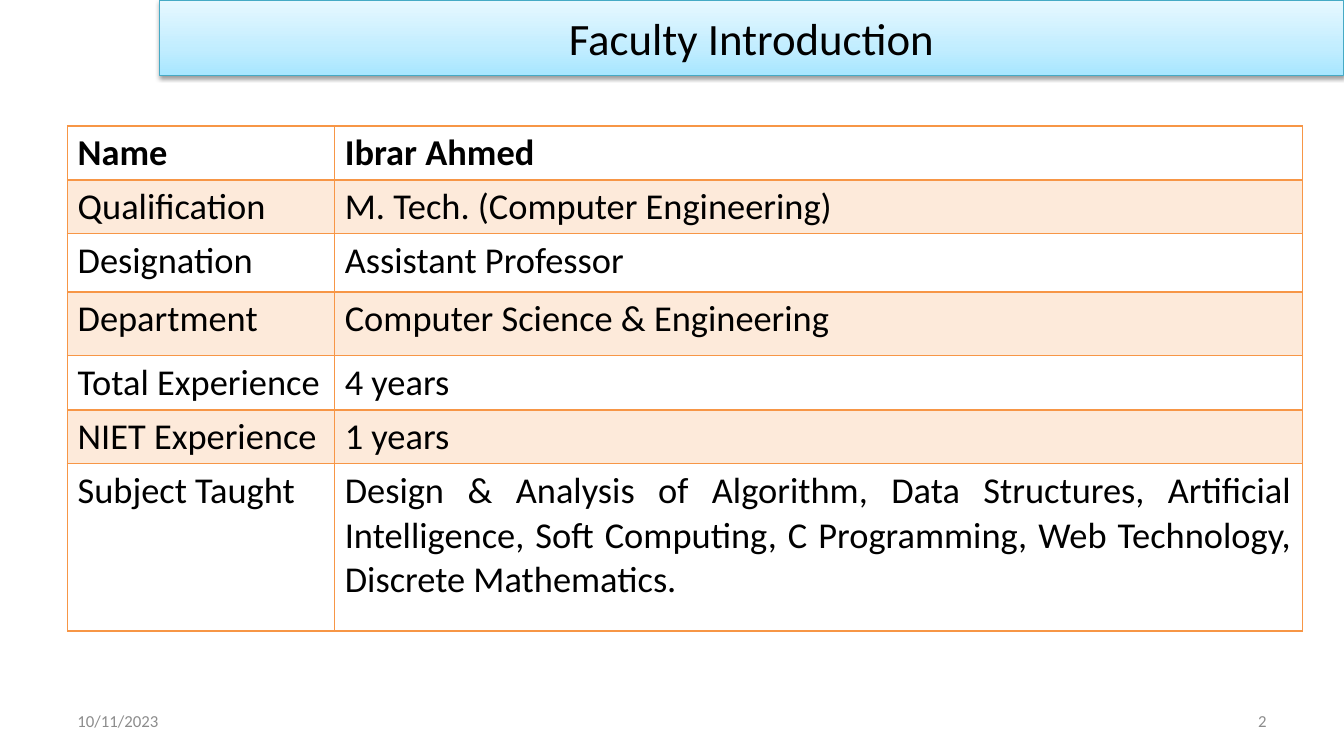
"""Build the faculty introduction slide: title banner, profile table, date and page number."""
from lxml import etree
from pptx import Presentation
from pptx import util as u
from pptx.dml.color import RGBColor
from pptx.enum import shapes, text
from pptx.oxml.ns import qn

ORANGE = "F79646"
ALIGN = text.PP_ALIGN


def rgb(code):
    return RGBColor.from_string(code)


def write(tf, words, size, color="000000", bold=False, align=ALIGN.LEFT,
          anchor=text.MSO_ANCHOR.MIDDLE):
    tf.word_wrap = True
    tf.vertical_anchor = anchor
    p = tf.paragraphs[0]
    p.alignment = align
    r = p.add_run()
    r.text = words
    r.font.name, r.font.size, r.font.bold = "Calibri", u.Pt(size), bold
    r.font.color.rgb = rgb(color)


prs = Presentation()
prs.slide_width, prs.slide_height = u.Inches(13.33), u.Inches(7.5)
s = prs.slides.add_slide(prs.slide_layouts[6])
margin = u.Inches(0.67)

footer_w = u.Inches(3.11)
for left, words, align in [
    (margin, "10/11/2023", ALIGN.LEFT),
    (prs.slide_width - margin - footer_w, "2", ALIGN.RIGHT),
]:
    box = s.shapes.add_textbox(left, u.Inches(6.95), footer_w, u.Inches(0.4))
    write(box.text_frame, words, 12, color="8C8C8C", align=align)

banner_left = u.Inches(1.58)
banner = s.shapes.add_shape(shapes.MSO_SHAPE.RECTANGLE, banner_left, 0,
                            prs.slide_width - banner_left, prs.slide_height // 10)
banner.fill.gradient()
banner.fill.gradient_angle = 90
banner.line.color.rgb = rgb("46AAC5")
banner.line.width = u.Pt(0.75)
banner.shadow.inherit = False
spPr = banner.element.spPr
stops = next(spPr.iter(qn("a:gsLst")))
for old in list(stops):
    stops.remove(old)
for pos, color in [(0, "A7E6FF"), (35, "C1EDFF"), (100, "E7F8FF")]:
    stop = etree.SubElement(stops, qn("a:gs"), pos=str(pos * 1000))
    etree.SubElement(stop, qn("a:srgbClr"), val=color)
shadow = etree.SubElement(spPr.find(qn("a:effectLst")), qn("a:outerShdw"),
                          blurRad=str(u.Pt(3.1)), dist=str(u.Pt(1.6)),
                          dir="5400000", rotWithShape="0")
shade = etree.SubElement(shadow, qn("a:srgbClr"), val="000000")
etree.SubElement(shade, qn("a:alpha"), val="38000")
write(banner.text_frame, "Faculty Introduction", 32, align=ALIGN.CENTER)

profile = [
    (0.52, "Name", "Ibrar Ahmed"),
    (0.52, "Qualification", "M. Tech. (Computer Engineering)"),
    (0.58, "Designation", "Assistant Professor"),
    (0.63, "Department", "Computer Science & Engineering"),
    (0.54, "Total Experience", "4 years"),
    (0.52, "NIET Experience", "1 years"),
    (1.66, "Subject Taught",
     "Design & Analysis of Algorithm, Data Structures, Artificial Intelligence, "
     "Soft Computing, C Programming, Web Technology, Discrete Mathematics."),
]
last = len(profile) - 1
table = s.shapes.add_table(len(profile), 2, margin, prs.slide_height // 6,
                           u.Inches(12.25), u.Inches(5.02)).table
table.first_row = table.horz_banding = False
for col, width in zip(table.columns, (2.65, 9.6)):
    col.width = u.Inches(width)

for i, (height, *words) in enumerate(profile):
    table.rows[i].height = u.Inches(height)
    for j, value in enumerate(words):
        cell = table.cell(i, j)
        align = ALIGN.JUSTIFY if (i, j) == (last, 1) else ALIGN.LEFT
        write(cell.text_frame, value, 26, bold=i == 0, align=align,
              anchor=text.MSO_ANCHOR.TOP)
        tcPr = cell._tc.get_or_add_tcPr()
        for side in "LRTB":
            heavy = (i, side) in [(0, "B"), (1, "T")]
            ln = etree.SubElement(tcPr, qn("a:ln" + side), w=str(u.Pt(2 if heavy else 1)))
            paint = etree.SubElement(ln, qn("a:solidFill"))
            etree.SubElement(paint, qn("a:srgbClr"), val=ORANGE)
        if i % 2:
            cell.fill.solid()
            cell.fill.fore_color.rgb = rgb(ORANGE)
            tint = tcPr.find(qn("a:solidFill")).find(qn("a:srgbClr"))
            etree.SubElement(tint, qn("a:alpha"), val="20000")
        else:
            cell.fill.background()

prs.save("out.pptx")
